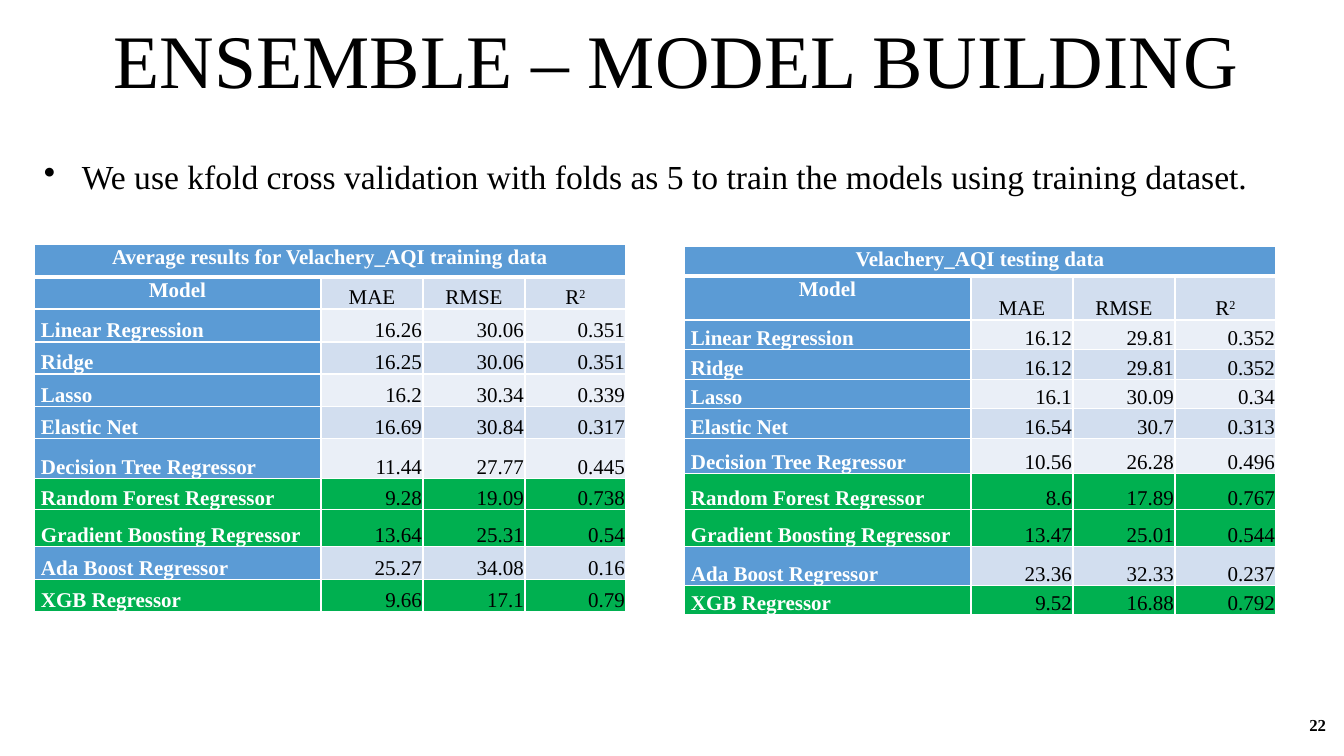
from lxml.etree import SubElement
from pptx import Presentation
from pptx.dml.color import RGBColor
from pptx.enum.text import MSO_ANCHOR, PP_ALIGN
from pptx.oxml.ns import qn
from pptx.util import Emu, Pt

EMU_PER_PX = 914400 / 100.8
FONT = "Times New Roman"
COLORS = {
    "black": "000000",
    "white": "FFFFFF",
    "blue": "5B9BD5",
    "dark_band": "D2DEEF",
    "light_band": "EAEFF7",
    "best": "00B050",
}
COLUMN_WIDTHS = [287, 102, 102, 101]
HEADINGS = ["Model", "MAE", "RMSE", "R^2"]
MODELS = [
    "Linear Regression", "Ridge", "Lasso", "Elastic Net",
    "Decision Tree Regressor", "Random Forest Regressor",
    "Gradient Boosting Regressor", "Ada Boost Regressor", "XGB Regressor",
]
BEST_MODELS = {"Random Forest Regressor", "Gradient Boosting Regressor", "XGB Regressor"}

TRAINING_HEIGHTS = [33, 32, 33, 32, 33, 32, 40, 31, 37, 33, 32]
TRAINING_SCORES = [
    ("16.26", "30.06", "0.351"),
    ("16.25", "30.06", "0.351"),
    ("16.2", "30.34", "0.339"),
    ("16.69", "30.84", "0.317"),
    ("11.44", "27.77", "0.445"),
    ("9.28", "19.09", "0.738"),
    ("13.64", "25.31", "0.54"),
    ("25.27", "34.08", "0.16"),
    ("9.66", "17.1", "0.79"),
]
TESTING_HEIGHTS = [30, 44, 30, 30, 29, 30, 35, 36, 37, 39, 29]
TESTING_SCORES = [
    ("16.12", "29.81", "0.352"),
    ("16.12", "29.81", "0.352"),
    ("16.1", "30.09", "0.34"),
    ("16.54", "30.7", "0.313"),
    ("10.56", "26.28", "0.496"),
    ("8.6", "17.89", "0.767"),
    ("13.47", "25.01", "0.544"),
    ("23.36", "32.33", "0.237"),
    ("9.52", "16.88", "0.792"),
]


def px(length):
    return Emu(round(length * EMU_PER_PX))


def color(name):
    return RGBColor.from_string(COLORS[name])


def write(paragraph, text, size, align, color_name="black", bold=False):
    """Fill a paragraph; what follows a caret is set as superscript."""
    base, _, exponent = text.partition("^")
    paragraph.add_run().text = base
    if exponent:
        span = paragraph.add_run()
        span.text = exponent
        span._r.get_or_add_rPr().set("baseline", "30000")
    paragraph.alignment = align
    font = paragraph.font
    font.name, font.size, font.bold = FONT, Pt(size), bold
    font.color.rgb = color(color_name)


def add_text(page, frame, text, size, align=PP_ALIGN.LEFT, anchor=MSO_ANCHOR.TOP, bold=False):
    box = page.shapes.add_textbox(*map(px, frame))
    box.text_frame.word_wrap = True
    box.text_frame.vertical_anchor = anchor
    paragraph = box.text_frame.paragraphs[0]
    write(paragraph, text, size, align, bold=bold)
    return paragraph


def add_bullet(paragraph, indent):
    properties = paragraph._p.get_or_add_pPr()
    properties.set("marL", str(px(indent)))
    properties.set("indent", str(-px(indent)))
    bullet = properties.makeelement(qn("a:buChar"), {"char": "•"})
    properties.find(qn("a:defRPr")).addprevious(bullet)


def add_borders(cell, top=1, bottom=1):
    """Draw white cell borders, with top and bottom widths in points."""
    properties = cell._tc.get_or_add_tcPr()
    for side, width in (("L", 1), ("R", 1), ("T", top), ("B", bottom)):
        line = SubElement(properties, qn(f"a:ln{side}"), w=str(Pt(width)))
        fill = SubElement(line, qn("a:solidFill"))
        SubElement(fill, qn("a:srgbClr"), val=COLORS["white"])


def fill_cell(cell, row, column, text, fill):
    is_score = row > 1 and column > 0
    is_label = row == 0 or column == 0
    add_borders(cell, top=3 if row == 1 else 1, bottom=3 if row == 0 else 1)
    cell.fill.solid()
    cell.fill.fore_color.rgb = color(fill)
    cell.margin_left = cell.margin_right = px(1 if is_score else 7)
    cell.margin_top = px(1 if is_score else 0)
    cell.margin_bottom = 0
    at_top = row == 0 or (row == 1 and column == 0)
    cell.vertical_anchor = MSO_ANCHOR.TOP if at_top else MSO_ANCHOR.BOTTOM
    if row < 2:
        align = PP_ALIGN.CENTER
    else:
        align = PP_ALIGN.RIGHT if is_score else PP_ALIGN.LEFT
    paragraph = cell.text_frame.paragraphs[0]
    if text:
        write(paragraph, text, 15, align, "white" if is_label else "black", is_label)
    if not is_score:
        paragraph.line_spacing = 1.07


def cell_fill(row, column, label):
    if label in BEST_MODELS:
        return "best"
    if row == 0 or column == 0:
        return "blue"
    return "dark_band" if row % 2 else "light_band"


def add_results(page, left, top, title, heights, scores):
    rows = [[title, "", "", ""], HEADINGS]
    rows += [[model, *values] for model, values in zip(MODELS, scores)]
    table = page.shapes.add_table(
        len(rows), len(HEADINGS), px(left), px(top), px(sum(COLUMN_WIDTHS)), px(sum(heights))
    ).table
    table.first_row = table.horz_banding = False
    for column, width in zip(table.columns, COLUMN_WIDTHS):
        column.width = px(width)
    for r, (height, texts) in enumerate(zip(heights, rows)):
        table.rows[r].height = px(height)
        for c, text in enumerate(texts):
            fill_cell(table.cell(r, c), r, c, text, cell_fill(r, c, texts[0]))
    table.cell(0, 0).merge(table.cell(0, len(HEADINGS) - 1))


def main():
    deck = Presentation()
    deck.slide_width, deck.slide_height = px(1344), px(756)
    page = deck.slides.add_slide(deck.slide_layouts[6])

    title = add_text(page, (34, 21, 1284, 89), "ENSEMBLE – MODEL BUILDING", 54,
                     PP_ALIGN.CENTER, MSO_ANCHOR.BOTTOM)
    title.line_spacing = 0.9
    method = add_text(
        page, (34, 155, 1284, 530),
        "We use kfold cross validation with folds as 5 to train the models using training dataset.",
        24,
    )
    method.line_spacing = 0.9
    method.space_before = Pt(10)
    add_bullet(method, 38)
    add_text(page, (1034, 705, 302, 40), "22", 12, PP_ALIGN.RIGHT, MSO_ANCHOR.MIDDLE, bold=True)

    add_results(page, 34, 244, "Average results for Velachery_AQI training data",
                TRAINING_HEIGHTS, TRAINING_SCORES)
    add_results(page, 684, 246, "Velachery_AQI testing data", TESTING_HEIGHTS, TESTING_SCORES)
    deck.save("out.pptx")


if __name__ == "__main__":
    main()
